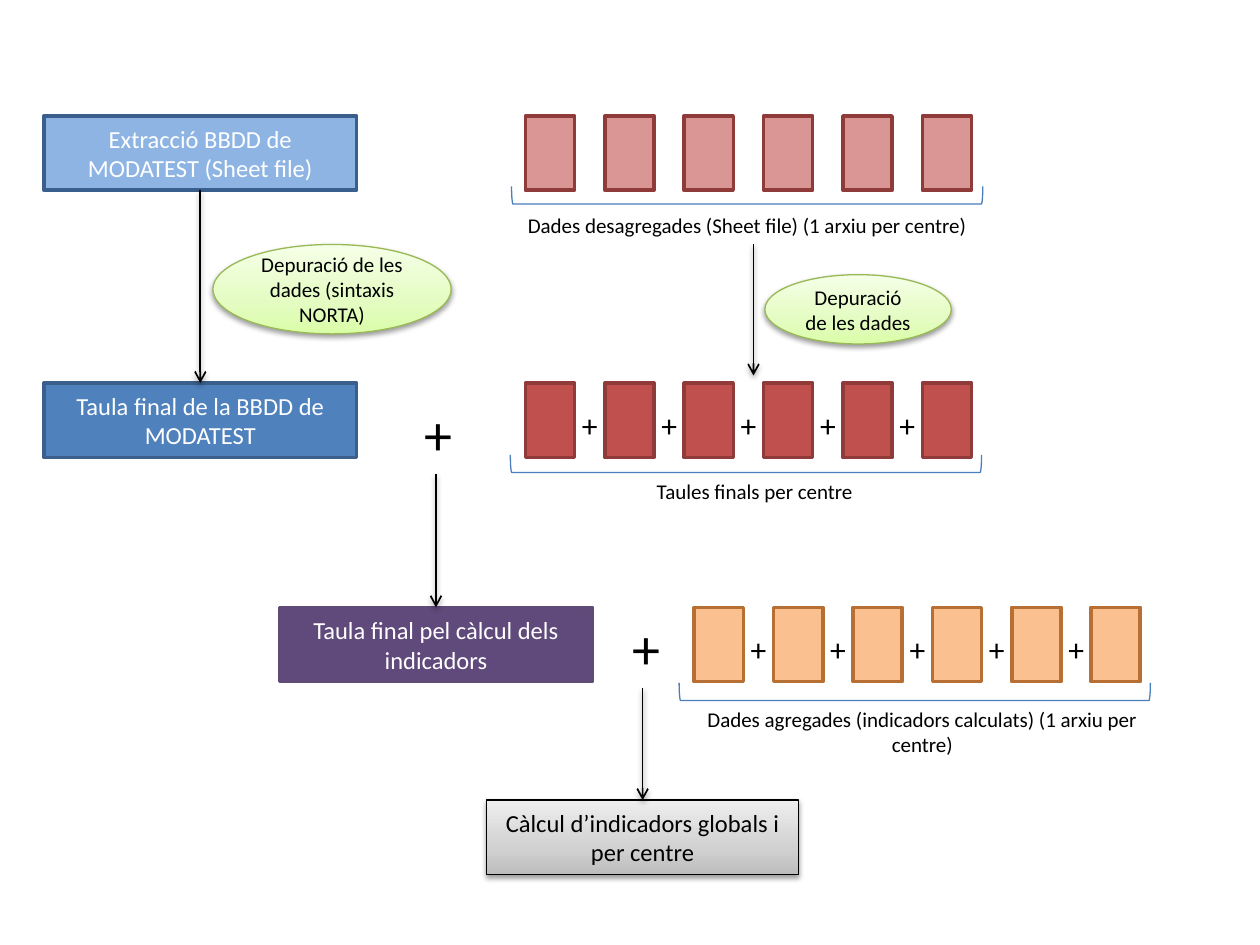
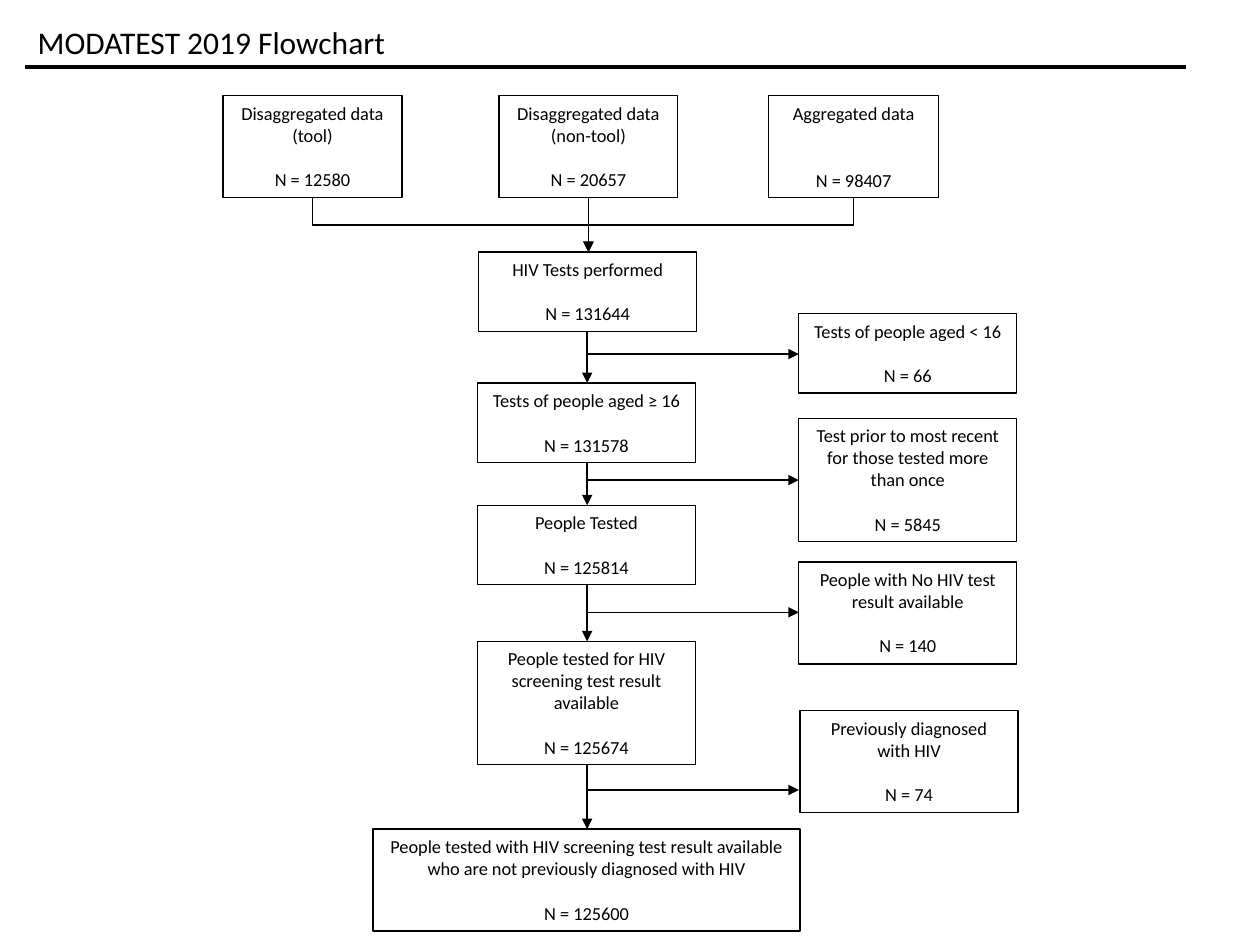
from lxml import etree
from pptx import Presentation
from pptx.dml.color import RGBColor
from pptx.enum.shapes import MSO_CONNECTOR, MSO_SHAPE
from pptx.enum.text import MSO_ANCHOR, PP_ALIGN
from pptx.oxml.ns import qn
from pptx.util import Inches, Pt

RECT, ELLIPSE = MSO_SHAPE.RECTANGLE, MSO_SHAPE.OVAL
BRACKET = MSO_SHAPE.RIGHT_BRACKET
STRAIGHT, ELBOW = MSO_CONNECTOR.STRAIGHT, MSO_CONNECTOR.ELBOW
LEFT, CENTER = PP_ALIGN.LEFT, PP_ALIGN.CENTER
TOP, MIDDLE = MSO_ANCHOR.TOP, MSO_ANCHOR.MIDDLE

FONT = "Calibri"
BLACK, WHITE = "000000", "FFFFFF"
BLUE_LINE, BRACKET_LINE, RED_LINE = "3A5F8C", "4B7EBC", "8E3B39"
GREEN_LINE, ORANGE_LINE, PURPLE_LINE = "98B955", "B76F34", "5F4A78"
GREEN_STOPS = [(0, "DAFDA7"), (35, "E4FCC2"), (100, "F5FFE7")]
GREY_STOPS = [(0, "BDBDBD"), (35, "D1D1D1"), (100, "EEEEEE")]

STEP_W, STEP_H = 2.48, 0.59
FILE_W, FILE_PITCH, FILE_COUNT = 0.39, 0.63, 6
BRACKET_W, BRACKET_H = 3.74, 0.14
COUNT_SIZE, COUNT_LINE = 10.5, 12.8
COUNT_W = 1.73


def rgb(value):
    return RGBColor.from_string(value)


def set_line(obj, color, width):
    obj.line.color.rgb = rgb(color)
    obj.line.width = Pt(width)


def add_effects(obj, shadow):
    """Give the object a soft shadow below it, or none at all."""
    effects = etree.SubElement(obj._element.spPr, qn("a:effectLst"))
    if shadow:
        outer = etree.SubElement(effects, qn("a:outerShdw"), blurRad=str(Pt(3.1)),
                                 dist=str(Pt(1.6)), dir="5400000", rotWithShape="0")
        color = etree.SubElement(outer, qn("a:srgbClr"), val=BLACK)
        etree.SubElement(color, qn("a:alpha"), val="38000")


def set_gradient(sp, stops):
    """Fill with stops that run from the bottom to the top."""
    sp.fill.gradient()
    sp.fill.gradient_angle = 90
    stop_list = sp._element.spPr.find(".//" + qn("a:gsLst"))
    for old in list(stop_list):
        stop_list.remove(old)
    for pos, color in stops:
        stop = etree.SubElement(stop_list, qn("a:gs"), pos=str(pos * 1000))
        etree.SubElement(stop, qn("a:srgbClr"), val=color)


def write(p, text, size, color=BLACK, align=LEFT):
    p.alignment = align
    r = p.add_run()
    r.text = text
    r.font.name = FONT
    r.font.size = Pt(size)
    r.font.color.rgb = rgb(color)


def add_shape(s, kind, x, y, w, h, fill, line, width=0.75, shadow=False):
    """Add a preset shape; fill is a colour, a list of stops or None."""
    sp = s.shapes.add_shape(kind, Inches(x), Inches(y), Inches(w), Inches(h))
    if fill is None:
        sp.fill.background()
    elif isinstance(fill, str):
        sp.fill.solid()
        sp.fill.fore_color.rgb = rgb(fill)
    else:
        set_gradient(sp, fill)
    set_line(sp, line, width)
    if shadow:
        add_effects(sp, True)
    else:
        sp.shadow.inherit = False
    return sp


def add_label(s, x, y, w, h, text, size, align=LEFT):
    tf = s.shapes.add_textbox(Inches(x), Inches(y), Inches(w), Inches(h)).text_frame
    tf.word_wrap = True
    write(tf.paragraphs[0], text, size, align=align)


def add_step(s, x, y, text, fill, line, width=2, color=WHITE, shadow=False):
    sp = add_shape(s, RECT, x, y, STEP_W, STEP_H, fill, line, width, shadow)
    sp.text_frame.vertical_anchor = MIDDLE
    write(sp.text_frame.paragraphs[0], text, 14, color, CENTER)


def add_cleaning(s, x, y, w, h, text):
    sp = add_shape(s, ELLIPSE, x, y, w, h, GREEN_STOPS, GREEN_LINE, shadow=True)
    sp.text_frame.vertical_anchor = MIDDLE
    write(sp.text_frame.paragraphs[0], text, 12, align=CENTER)


def add_files(s, x, y, fill, line, plus=True):
    """Add a row of centre files, joined by plus signs if wanted."""
    for i in range(FILE_COUNT):
        left = x + i * FILE_PITCH
        add_shape(s, RECT, left, y, FILE_W, STEP_H, fill, line, 2)
        if plus and i < FILE_COUNT - 1:
            add_label(s, left + 0.35, y + 0.13, 0.39, 0.4, "+", 18)


def add_bracket(s, x, y):
    """Add a bracket that opens upwards, with its visible corner at x, y."""
    left = x + (BRACKET_W - BRACKET_H) / 2
    top = y - (BRACKET_W - BRACKET_H) / 2
    sp = add_shape(s, BRACKET, left, top, BRACKET_H, BRACKET_W, None, BRACKET_LINE)
    sp.rotation = 90


def add_line(s, x1, y1, x2, y2, width=0.75, head=None, shadow=False, kind=STRAIGHT):
    c = s.shapes.add_connector(kind, Inches(x1), Inches(y1), Inches(x2), Inches(y2))
    set_line(c, BLACK, width)
    if head:
        etree.SubElement(c.line._get_or_add_ln(), qn("a:tailEnd"), type=head)
    add_effects(c, shadow)
    return c


def add_flow(s, x, y1, y2):
    add_line(s, x, y1, x, y2, 1, "arrow", shadow=True)


def add_elbow_down(s, x1, y1, x2, y2):
    """Add an arrow that goes down, across and down again."""
    cx, cy = (x1 + x2) / 2, (y1 + y2) / 2
    half_w, half_h = (y2 - y1) / 2, abs(x2 - x1) / 2
    c = add_line(s, cx - half_w, cy - half_h, cx + half_w, cy + half_h,
                 head="triangle", kind=ELBOW)
    xfrm = c._element.spPr.find(qn("a:xfrm"))
    if x2 > x1:
        xfrm.set("rot", "16200000")
        xfrm.set("flipH", "1")
    else:
        xfrm.set("rot", "5400000")


def add_count(s, x, y, w, h, text, n, gap_lines=1):
    """Add a framed description with its number of cases below."""
    sp = add_shape(s, RECT, x, y, w, h, None, BLACK)
    tf = sp.text_frame
    tf.vertical_anchor = TOP
    write(tf.paragraphs[0], text, COUNT_SIZE, align=CENTER)
    p = tf.add_paragraph()
    p.space_before = Pt(COUNT_LINE * gap_lines)
    write(p, f"N = {n}", COUNT_SIZE, align=CENTER)


def build_data_flow(s):
    add_step(s, 0.35, 0.92, "Extracció BBDD de MODATEST (Sheet file)", "8EB4E3", BLUE_LINE)
    add_step(s, 0.35, 3.04, "Taula final de la BBDD de MODATEST", "4F81BD", BLUE_LINE)
    add_step(s, 2.22, 4.82, "Taula final pel càlcul dels indicadors", "604A7B", PURPLE_LINE)
    add_step(s, 3.86, 6.35, "Càlcul d’indicadors globals i per centre", GREY_STOPS,
             BLACK, 0.75, BLACK, shadow=True)

    add_files(s, 4.17, 0.92, "D99694", RED_LINE, plus=False)
    add_files(s, 4.17, 3.04, "C0504D", RED_LINE)
    add_files(s, 5.51, 4.82, "FAC090", ORANGE_LINE)
    for x, y in [(4.06, 1.48), (4.05, 3.61), (5.39, 5.42)]:
        add_bracket(s, x, y)

    add_label(s, 4.09, 1.64, 4.02, 0.3,
              "Dades desagregades (Sheet file) (1 arxiu per centre)", 12)
    add_label(s, 3.98, 3.75, 4.02, 0.3, "Taules finals per centre", 12, CENTER)
    add_label(s, 5.31, 5.56, 4.02, 0.5,
              "Dades agregades (indicadors calculats) (1 arxiu per centre)", 12, CENTER)
    for x, y in [(3.27, 3.12), (4.92, 4.82)]:
        add_label(s, x, y, 0.39, 0.64, "+", 32)

    for x, y1, y2 in [(1.59, 1.51, 3.04), (5.98, 1.94, 2.98),
                      (3.46, 3.76, 4.82), (5.1, 5.46, 6.35)]:
        add_flow(s, x, y1, y2)
    add_cleaning(s, 1.69, 1.94, 1.89, 0.71, "Depuració de les dades (sintaxis NORTA)")
    add_cleaning(s, 6.07, 2.18, 1.48, 0.55, "Depuració de les dades")


def build_flowchart(s):
    add_label(s, 0.2, 0.13, 8.19, 0.4, "MODATEST 2019 Flowchart", 18)
    add_line(s, 0.2, 0.53, 9.41, 0.53, 2.25)

    sources = [
        (1.77, 1.42, "Disaggregated data (tool)", 12580, 1),
        (3.96, 1.42, "Disaggregated data (non-tool)", 20657, 1),
        (6.1, 1.35, "Aggregated data", 98407, 2),
    ]
    for x, w, text, n, gap_lines in sources:
        add_count(s, x, 0.76, w, 0.81, text, n, gap_lines)
        add_elbow_down(s, x + w / 2, 1.57, 4.67, 2)

    steps = [
        (3.8, 2, COUNT_W, 0.63, "HIV Tests performed", 131644),
        (3.79, 3.04, COUNT_W, 0.63, "Tests of people aged ≥ 16", 131578),
        (3.79, 4.01, COUNT_W, 0.63, "People Tested", 125814),
        (3.79, 5.09, COUNT_W, 0.98,
         "People tested for HIV screening test result available", 125674),
        (2.96, 6.58, 3.39, 0.81, "People tested with HIV screening test result available "
         "who are not previously diagnosed with HIV", 125600),
    ]
    for step in steps:
        add_count(s, *step)
    for (_, y, _, h, _, _), following in zip(steps, steps[1:]):
        add_line(s, 4.66, y + h, 4.66, following[1], head="triangle")

    exclusions = [
        (6.34, 2.49, 0.63, "Tests of people aged < 16", 66, 2.81),
        (6.34, 3.32, 0.98, "Test prior to most recent for those tested more than once",
         5845, 3.81),
        (6.34, 4.46, 0.81, "People with No HIV test result available", 140, 4.86),
        (6.35, 5.64, 0.81, "Previously diagnosed with HIV", 74, 6.27),
    ]
    for x, y, h, text, n, arrow_y in exclusions:
        add_count(s, x, y, COUNT_W, h, text, n)
        add_line(s, 4.66, arrow_y, 6.34, arrow_y, head="triangle")


def main():
    prs = Presentation()
    prs.slide_width, prs.slide_height = Inches(10), Inches(7.5)
    blank = prs.slide_layouts[6]
    for build in (build_data_flow, build_flowchart):
        build(prs.slides.add_slide(blank))
    prs.save("out.pptx")


if __name__ == "__main__":
    main()
